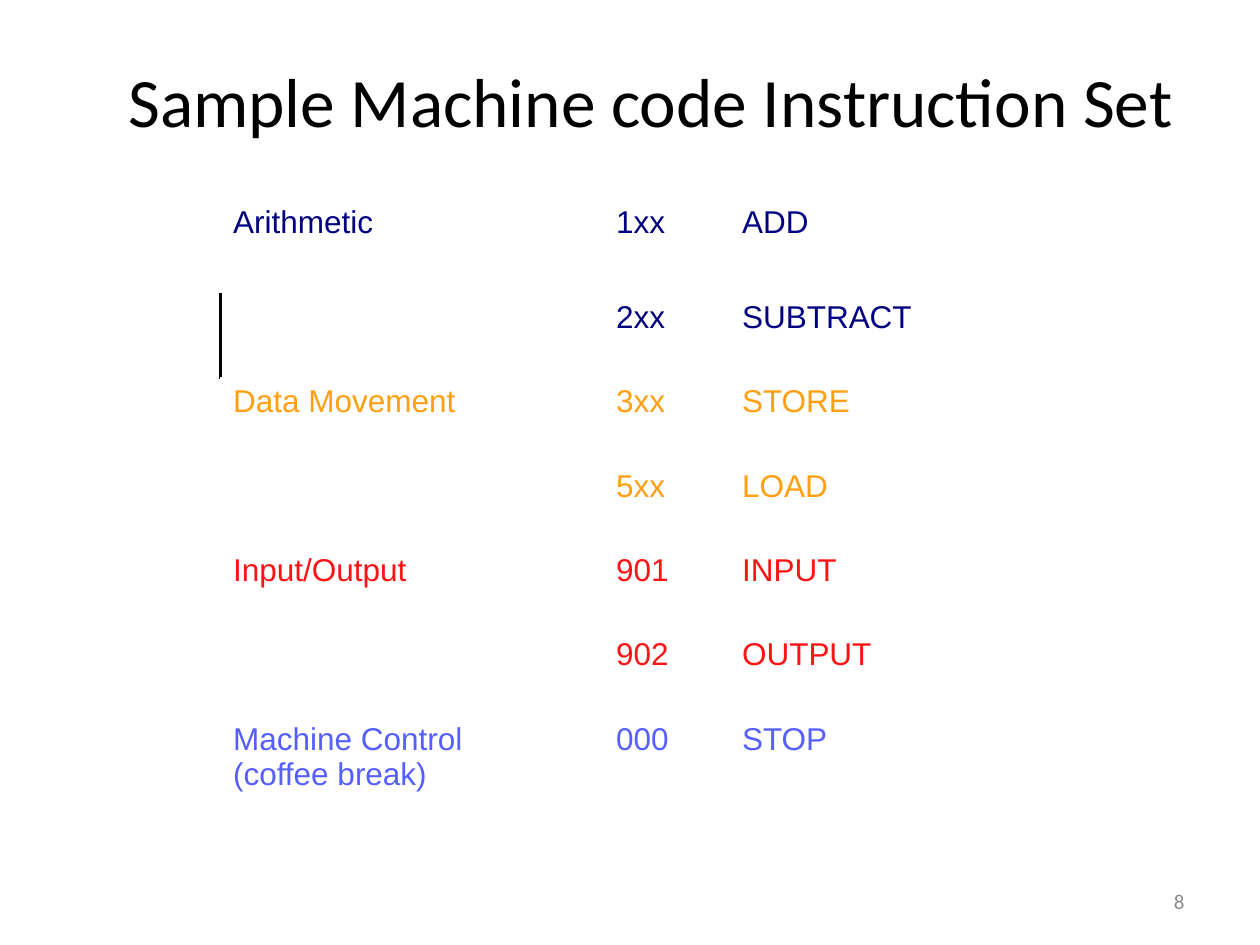
from dataclasses import dataclass

from lxml import etree
from pptx import Presentation
from pptx import util as u
from pptx.dml.color import RGBColor
from pptx.enum import text
from pptx.oxml import ns

BLACK = RGBColor(0x00, 0x00, 0x00)
GRAY = RGBColor(0x8C, 0x8C, 0x8C)
NAVY = RGBColor(0x00, 0x00, 0x80)
ORANGE = RGBColor(0xFF, 0x9F, 0x11)
RED = RGBColor(0xFD, 0x13, 0x13)
VIOLET = RGBColor(0x55, 0x5F, 0xFF)


@dataclass
class Group:
    """A category of instructions as (code, mnemonic) pairs."""
    name: str
    color: RGBColor
    instructions: list[tuple[str, str]]


GROUPS = [
    Group("Arithmetic", NAVY, [("1xx", "ADD"), ("2xx", "SUBTRACT")]),
    Group("Data Movement", ORANGE, [("3xx", "STORE"), ("5xx", "LOAD")]),
    Group("Input/Output", RED, [("901", "INPUT"), ("902", "OUTPUT")]),
    Group("Machine Control\n(coffee break)", VIOLET, [("000", "STOP")]),
]
COLUMN_WIDTHS = [3.04, 1, 1.6]
ROW_HEIGHTS = [0.75] + [0.67] * 5 + [0.7]


def write(paragraph, words: str, font: str, size: float, color: RGBColor) -> None:
    for index, line in enumerate(words.split("\n")):
        if index:
            paragraph.add_line_break()
        run = paragraph.add_run()
        run.text = line
        run.font.name = font
        run.font.size = u.Pt(size)
        run.font.color.rgb = color


def place(shape, left: float, top: float, width: float, height: float) -> None:
    shape.left, shape.top = u.Inches(left), u.Inches(top)
    shape.width, shape.height = u.Inches(width), u.Inches(height)


def add_left_border(cell, color: RGBColor, width: float) -> None:
    line = etree.Element(ns.qn("a:lnL"), w=str(u.Pt(width)))
    fill = etree.SubElement(line, ns.qn("a:solidFill"))
    etree.SubElement(fill, ns.qn("a:srgbClr"), val=str(color))
    # Borders must come before the fill of the cell
    cell._tc.get_or_add_tcPr().insert(0, line)


def add_instruction_table(slide, groups: list[Group]) -> None:
    table = slide.shapes.add_table(
        len(ROW_HEIGHTS), len(COLUMN_WIDTHS), u.Inches(1.75), u.Inches(1.58),
        u.Inches(sum(COLUMN_WIDTHS)), u.Inches(sum(ROW_HEIGHTS))).table
    table.first_row = table.horz_banding = False
    for column, width in zip(table.columns, COLUMN_WIDTHS):
        column.width = u.Inches(width)
    for row, height in zip(table.rows, ROW_HEIGHTS):
        row.height = u.Inches(height)
    for cell in table.iter_cells():
        cell.fill.background()

    # The category name stands only in the first row of its group
    rows = [(group.name if index == 0 else "", *instruction, group.color)
            for group in groups
            for index, instruction in enumerate(group.instructions)]
    for row, (*words, color) in zip(table.rows, rows):
        for cell, content in zip(row.cells, words):
            if content:
                write(cell.text_frame.paragraphs[0], content, "Arial", 18, color)
    add_left_border(table.cell(1, 0), BLACK, 2.25)


def main() -> None:
    presentation = Presentation()
    presentation.slide_width, presentation.slide_height = u.Inches(10), u.Inches(7.5)
    slide = presentation.slides.add_slide(presentation.slide_layouts[5])

    # Title
    title = slide.shapes.title
    place(title, 0.5, 0.17, 9.33, 1.25)
    title.text_frame.vertical_anchor = text.MSO_ANCHOR.MIDDLE
    paragraph = title.text_frame.paragraphs[0]
    paragraph.alignment = text.PP_ALIGN.CENTER
    write(paragraph, "Sample Machine code Instruction Set", "Calibri", 39.6, BLACK)

    # Instruction set
    add_instruction_table(slide, GROUPS)

    # Slide number
    number = slide.shapes.add_textbox(
        u.Inches(7.17), u.Inches(6.95), u.Inches(2.33), u.Inches(0.4))
    number.text_frame.word_wrap = True
    number.text_frame.vertical_anchor = text.MSO_ANCHOR.MIDDLE
    paragraph = number.text_frame.paragraphs[0]
    paragraph.alignment = text.PP_ALIGN.RIGHT
    write(paragraph, "8", "Calibri", 12, GRAY)

    presentation.save("out.pptx")


if __name__ == "__main__":
    main()
